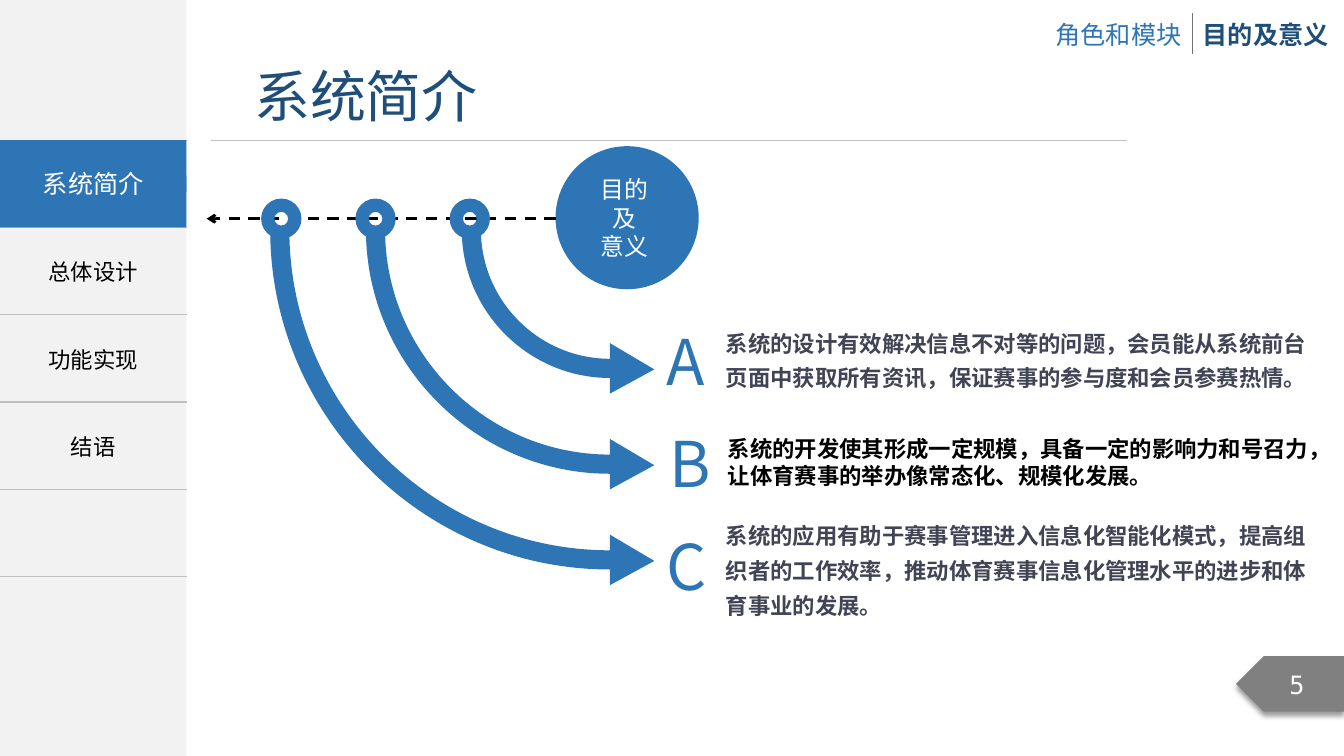
from lxml import etree
from pptx import Presentation
from pptx.dml.color import RGBColor
from pptx.enum import dml, shapes, text
from pptx.oxml import ns, parse_xml
from pptx.util import Inches, Pt

BLUE = RGBColor(0x2E, 0x75, 0xB6)
NAVY = RGBColor(0x1F, 0x4E, 0x79)
SLATE = RGBColor(0x41, 0x44, 0x55)
BLACK = RGBColor(0, 0, 0)
WHITE = RGBColor(0xFF, 0xFF, 0xFF)
PALE = RGBColor(0xF2, 0xF2, 0xF2)
RULE = RGBColor(0xBF, 0xBF, 0xBF)
DIVIDER = RGBColor(0x76, 0x71, 0x71)
GREY = RGBColor(0x80, 0x80, 0x80)
FONT = "Noto Sans CJK SC"
MONO = "DejaVu Sans Mono"
SHAPE = shapes.MSO_SHAPE
CENTER = text.PP_ALIGN.CENTER
LEFT = text.PP_ALIGN.LEFT
MIDDLE = text.MSO_ANCHOR.MIDDLE
TOP = text.MSO_ANCHOR.TOP
ROUNDNESS = 0.55


def inches(*values):
    return [Inches(v) for v in values]


def write(tf, content, size, color, bold=False, font=FONT, align=LEFT, spacing=None):
    tf.text = content
    for p in tf.paragraphs:
        p.alignment = align
        if spacing:
            p.line_spacing = spacing
        for r in p.runs:
            r.font.size = Pt(size)
            r.font.bold = bold
            r.font.color.rgb = color
            r.font.name = font
            etree.SubElement(r.font._element, ns.qn("a:ea"), typeface=font)


def frame(tf, anchor=TOP, wrap=False, inset=(0.1, 0.05)):
    tf.word_wrap = wrap
    tf.auto_size = text.MSO_AUTO_SIZE.NONE
    tf.vertical_anchor = anchor
    tf.margin_left = tf.margin_right = Inches(inset[0])
    tf.margin_top = tf.margin_bottom = Inches(inset[1])


def add_label(s, box, content, size, color, anchor=TOP, wrap=False,
              inset=(0.1, 0.05), **style):
    tf = s.shapes.add_textbox(*inches(*box)).text_frame
    frame(tf, anchor, wrap, inset)
    write(tf, content, size, color, **style)


def paint(sp, color):
    sp.shadow.inherit = False
    sp.fill.solid()
    sp.fill.fore_color.rgb = color
    sp.line.fill.background()


def add_solid(s, kind, box, color):
    sp = s.shapes.add_shape(kind, *inches(*box))
    paint(sp, color)
    return sp


def add_line(s, start, end, color, width=0.5):
    line = s.shapes.add_connector(shapes.MSO_CONNECTOR.STRAIGHT, *inches(*start, *end))
    line.line.color.rgb = color
    line.line.width = Pt(width)
    etree.SubElement(line._element.spPr, ns.qn("a:effectLst"))
    return line


def rule_cell(cell):
    tc_pr = cell._tc.get_or_add_tcPr()
    for side in ("lnL", "lnR"):
        ln = etree.SubElement(tc_pr, ns.qn("a:" + side))
        etree.SubElement(ln, ns.qn("a:noFill"))
    for side in ("lnT", "lnB"):
        ln = etree.SubElement(tc_pr, ns.qn("a:" + side), w=str(Pt(1)))
        fill = etree.SubElement(ln, ns.qn("a:solidFill"))
        etree.SubElement(fill, ns.qn("a:srgbClr"), val=str(RULE))
    cell.fill.background()


def add_sidebar(s, x, y, w, h):
    add_solid(s, SHAPE.RECTANGLE, (x, y, w, h), PALE)
    menu_y, row_h = y + 1.39, 0.866
    items = ["", "总体设计", "功能实现", "结语", ""]
    menu = s.shapes.add_table(len(items), 1, *inches(x, menu_y, w, row_h * len(items))).table
    menu.first_row = menu.horz_banding = False
    for row, item in enumerate(items):
        cell = menu.cell(row, 0)
        rule_cell(cell)
        cell.vertical_anchor = MIDDLE
        if item:
            write(cell.text_frame, item, 16, BLACK, align=CENTER)
    active = add_solid(s, SHAPE.RECTANGLE, (x, menu_y, w, row_h), BLUE)
    frame(active.text_frame, MIDDLE)
    write(active.text_frame, "系统简介", 18, WHITE, align=CENTER)
    marker = add_solid(s, SHAPE.ISOSCELES_TRIANGLE,
                       (x + w - 0.16, menu_y + 0.35, 0.16, 0.16), BLUE)
    marker.rotation = 270


def add_title(s, x, y, w, h):
    title = s.shapes.title
    title.left, title.top, title.width, title.height = inches(x + 0.33, y, 2.45, 0.77)
    frame(title.text_frame)
    write(title.text_frame, "系统简介", 40, NAVY)
    add_line(s, (x, y + h), (x + w, y + h), RULE)


def add_breadcrumb(s, x, y, w, h):
    half = w / 2
    add_label(s, (x, y, half, h), "角色和模块", 18, BLUE)
    add_line(s, (x + half, y - 0.01), (x + half, y + h), DIVIDER)
    add_label(s, (x + half, y, half, h), "目的及意义", 18, NAVY, bold=True)


def add_page_tag(s, x, y, w, h):
    tag = add_solid(s, SHAPE.PENTAGON, (x, y, w, h), GREY)
    tag._element.spPr.xfrm.set("flipH", "1")
    effects = tag._element.spPr.find(ns.qn("a:effectLst"))
    effects.append(parse_xml(
        f'<a:outerShdw {ns.nsdecls("a")} blurRad="{Pt(4)}" dist="{Pt(3)}" dir="5400000">'
        '<a:srgbClr val="000000"><a:alpha val="40000"/></a:srgbClr></a:outerShdw>'))
    frame(tag.text_frame, MIDDLE)
    write(tag.text_frame, "5", 18, WHITE, font=MONO, align=CENTER)


def bend(sp, segment, start, corner, end):
    segment.tag = ns.qn("a:cubicBezTo")
    for child in list(segment):
        segment.remove(child)
    handles = [[a + ROUNDNESS * (c - a) for a, c in zip(point, corner)]
               for point in (start, end)]
    for px, py in (*handles, end):
        etree.SubElement(segment, ns.qn("a:pt"), x=str(Inches(px) - sp.left),
                         y=str(Inches(py) - sp.top))


def add_curved_arrow(s, cx, cy, radius, thick=0.19, head=0.44, head_half=0.25):
    inner = radius - thick
    mid = cy + radius - thick / 2
    points = [(cx, cy + radius), (cx - radius, cy), (cx - inner, cy), (cx, cy + inner),
              (cx, mid - head_half), (cx + head, mid + 0.01), (cx, mid + head_half)]
    builder = s.shapes.build_freeform(*inches(*points[0]))
    builder.add_line_segments([inches(*pt) for pt in points[1:]], close=True)
    sp = builder.convert_to_shape()
    segments = list(sp._element.iter(ns.qn("a:lnTo")))
    bend(sp, segments[0], points[0], (cx - radius, cy + radius), points[1])
    bend(sp, segments[2], points[2], (cx - inner, cy + inner), points[3])
    paint(sp, BLUE)


def add_arrow_diagram(s, x, y, w, h):
    hub_d, ring_d = 1.42, 0.4
    axis_y = y + 0.72
    hub_x = x + w - hub_d
    hub = add_solid(s, SHAPE.OVAL, (hub_x, y, hub_d, hub_d), BLUE)
    frame(hub.text_frame, MIDDLE, inset=(0.08, 0.04))
    hub.text_frame.margin_right = Inches(0.14)
    write(hub.text_frame, "目的\n及\n意义", 17, WHITE, align=CENTER)
    axis = add_line(s, (hub_x, axis_y), (x, axis_y), BLACK, width=0)
    axis.line.dash_style = dml.MSO_LINE.DASH
    etree.SubElement(axis.line._get_or_add_ln(), ns.qn("a:tailEnd"), type="arrow")
    arc_x, arc_y = x + 4, axis_y + 0.11
    for i in range(3):
        ring_x = arc_x - 1.39 - 0.935 * i
        ring = add_solid(s, SHAPE.DONUT, (ring_x - ring_d / 2, axis_y - ring_d / 2,
                                          ring_d, ring_d), BLUE)
        ring.adjustments[0] = 0.33
        add_curved_arrow(s, arc_x, arc_y, 1.47 + 0.95 * i)


def add_points(s, x, y, w, h):
    inset = (0.08, 0.04)
    points = [
        ("A", 0, 0.59, 0, SLATE, 1.3,
         "系统的设计有效解决信息不对等的问题，会员能从系统前台页面中获取所有资讯，保证赛事的参与度和会员参赛热情。"),
        ("B", 0.03, 0.61, 1.13, BLACK, None,
         "系统的开发使其形成一定规模，具备一定的影响力和号召力，让体育赛事的举办像常态化、规模化发展。"),
        ("C", 0, 0.59, 1.91, SLATE, 1.3,
         "系统的应用有助于赛事管理进入信息化智能化模式，提高组织者的工作效率，推动体育赛事信息化管理水平的进步和体育事业的发展。"),
    ]
    for i, (letter, dx, body_x, body_y, color, spacing, body) in enumerate(points):
        add_label(s, (x + dx, y + 1.02 * i, 0.59, 0.84), letter, 45, BLUE,
                  anchor=MIDDLE, inset=inset)
        add_label(s, (x + body_x, y + body_y, w - 0.59, h / 4), body, 16, color,
                  wrap=True, inset=inset, bold=True, spacing=spacing)


def main():
    prs = Presentation()
    prs.slide_width, prs.slide_height = inches(13.33, 7.5)
    s = prs.slides.add_slide(prs.slide_layouts[5])
    add_sidebar(s, 0, 0, 1.85, 7.5)
    add_title(s, 2.09, 0.56, 9.09, 0.83)
    add_breadcrumb(s, 10.37, 0.14, 2.92, 0.4)
    add_page_tag(s, 12.26, 6.51, 1.07, 0.55)
    add_arrow_diagram(s, 2.05, 1.45, 4.88, 4.35)
    add_points(s, 6.53, 3.15, 6.55, 3)
    prs.save("out.pptx")


if __name__ == "__main__":
    main()
